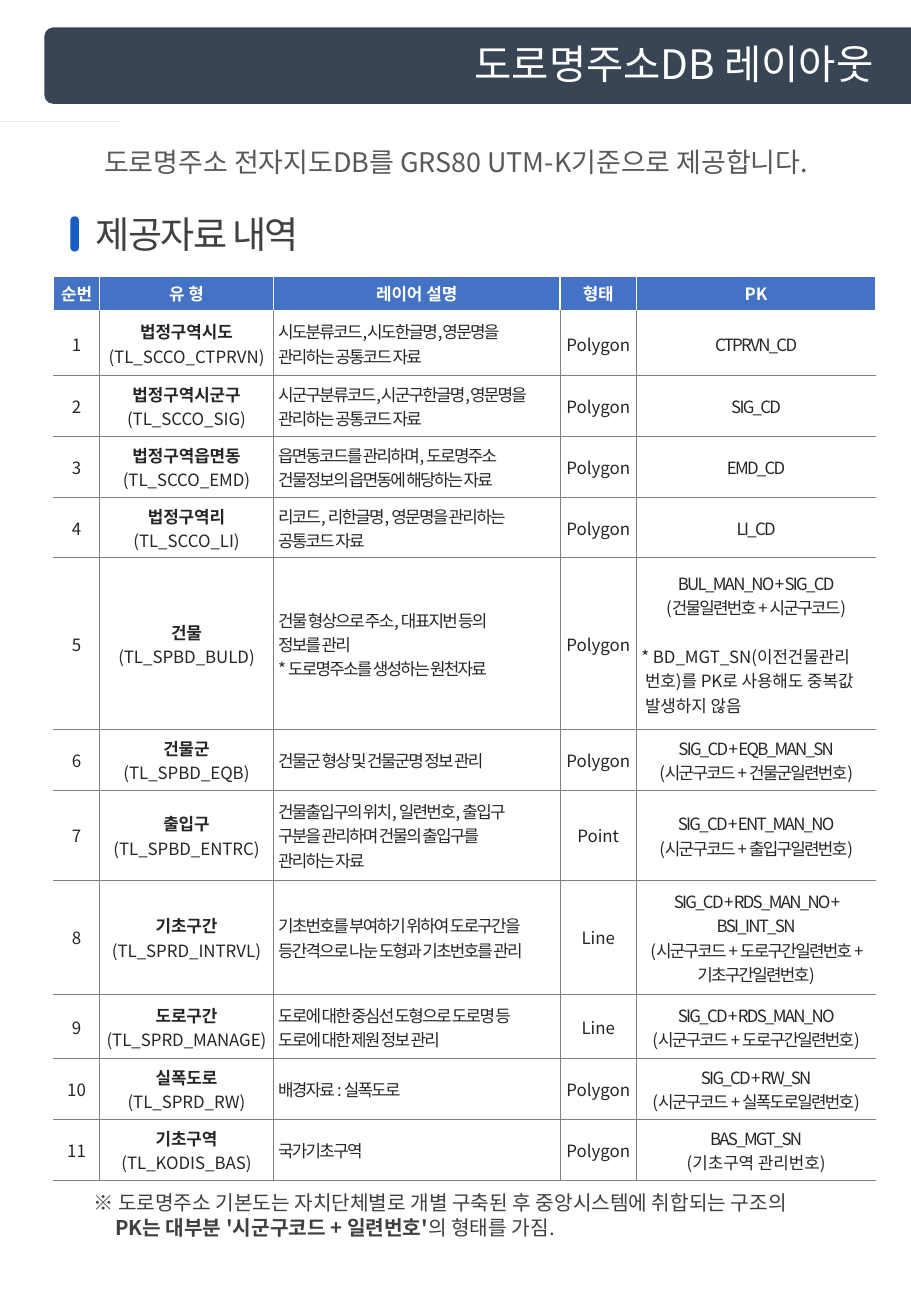
"""Build the road name address DB layout slide."""
from dataclasses import dataclass

from lxml import etree
from pptx import Presentation
from pptx.dml.color import RGBColor
from pptx.enum.shapes import MSO_SHAPE
from pptx.enum.text import MSO_ANCHOR, MSO_AUTO_SIZE, PP_ALIGN
from pptx.oxml.ns import qn
from pptx.util import Inches, Pt

LEFT, CENTER, RIGHT = PP_ALIGN.LEFT, PP_ALIGN.CENTER, PP_ALIGN.RIGHT
TOP, MIDDLE = MSO_ANCHOR.TOP, MSO_ANCHOR.MIDDLE
FIXED_SIZE = MSO_AUTO_SIZE.NONE
ROUNDED, ROUNDED_TOP = MSO_SHAPE.ROUNDED_RECTANGLE, MSO_SHAPE.ROUND_2_SAME_RECTANGLE


@dataclass(frozen=True)
class Theme:
    font: str = "Noto Sans CJK KR"
    white: str = "FFFFFF"
    banner: str = "333F50"
    accent: str = "175DC3"
    header: str = "4472C4"
    grid: str = "808080"
    ink: str = "262626"
    heading: str = "404040"
    lead: str = "595959"
    title_size: int = 24
    heading_size: int = 22
    lead_size: int = 16
    note_size: int = 12
    table_size: int = 10
    line_height: float = 14.5


THEME = Theme()
HEADERS = ["순번", "유 형", "레이어 설명", "형태", "PK"]
COLUMN_WIDTHS = [0.38, 1.43, 2.36, 0.63, 1.97]
ROW_HEIGHTS = [0.29, 0.53, 0.5, 0.5, 0.5, 1.4, 0.5, 0.74, 0.94, 0.53, 0.5, 0.5]
LAYERS = [
    ("법정구역시도", "TL_SCCO_CTPRVN", "시도분류코드,시도한글명,영문명을\n관리하는 공통코드 자료",
     "Polygon", "CTPRVN_CD"),
    ("법정구역시군구", "TL_SCCO_SIG", "시군구분류코드,시군구한글명,영문명을 관리하는 공통코드 자료",
     "Polygon", "SIG_CD"),
    ("법정구역읍면동", "TL_SCCO_EMD", "읍면동코드를 관리하며, 도로명주소\n건물정보의 읍면동에 해당하는 자료",
     "Polygon", "EMD_CD"),
    ("법정구역리", "TL_SCCO_LI", "리코드, 리한글명, 영문명을 관리하는\n공통코드 자료",
     "Polygon", "LI_CD"),
    ("건물", "TL_SPBD_BULD", "건물 형상으로 주소, 대표지번 등의\n정보를 관리\n* 도로명주소를 생성하는 원천자료",
     "Polygon", "BUL_MAN_NO + SIG_CD\n(건물일련번호 + 시군구코드)"
     "|* BD_MGT_SN(이전건물관리\n 번호)를 PK로 사용해도 중복값\n 발생하지 않음"),
    ("건물군", "TL_SPBD_EQB", "건물군 형상 및 건물군명 정보 관리",
     "Polygon", "SIG_CD + EQB_MAN_SN\n(시군구코드 + 건물군일련번호)"),
    ("출입구", "TL_SPBD_ENTRC", "건물출입구의 위치, 일련번호, 출입구\n구분을 관리하며 건물의 출입구를\n관리하는 자료",
     "Point", "SIG_CD + ENT_MAN_NO\n(시군구코드 + 출입구일련번호)"),
    ("기초구간", "TL_SPRD_INTRVL", "기초번호를 부여하기 위하여 도로구간을 등간격으로 나눈 도형과 기초번호를 관리",
     "Line", "SIG_CD + RDS_MAN_NO + BSI_INT_SN\n(시군구코드 + 도로구간일련번호 + 기초구간일련번호)"),
    ("도로구간", "TL_SPRD_MANAGE", "도로에 대한 중심선 도형으로 도로명 등\n도로에 대한 제원 정보 관리",
     "Line", "SIG_CD + RDS_MAN_NO\n(시군구코드 + 도로구간일련번호)"),
    ("실폭도로", "TL_SPRD_RW", "배경자료 : 실폭도로",
     "Polygon", "SIG_CD + RW_SN\n(시군구코드 + 실폭도로일련번호)"),
    ("기초구역", "TL_KODIS_BAS", "국가기초구역",
     "Polygon", "BAS_MGT_SN|(기초구역 관리번호)"),
]
MONITOR = [(0.74, 1.23), (0.63, 1.23), (0.63, 1.25), (0.72, 1.25), (0.72, 1.39),
           (0.47, 1.39), (0.47, 1.25), (0.55, 1.25), (0.55, 1.23), (0.44, 1.23),
           (0.44, 1.42), (0.56, 1.42), (0.54, 1.47), (0.53, 1.47), (0.53, 1.48),
           (0.66, 1.48), (0.66, 1.47), (0.64, 1.47), (0.63, 1.42), (0.74, 1.42)]
ARROW = [(0.54, 1.28), (0.55, 1.29), (0.59, 1.33), (0.6, 1.33), (0.64, 1.29),
         (0.65, 1.28), (0.63, 1.27), (0.6, 1.3), (0.6, 1.21), (0.59, 1.2),
         (0.58, 1.21), (0.58, 1.3), (0.56, 1.28), (0.55, 1.27)]


def write(frame, text, size=THEME.table_size, color=THEME.ink, bold=False, spacing=0,
          align=LEFT, gap=0, margin=0, join=False):
    """Write each line of text as a paragraph, or join it to the last one."""
    for line in text.split("\n"):
        paragraph = frame.paragraphs[-1]
        if paragraph.runs and not join:
            paragraph = frame.add_paragraph()
        if not join:
            paragraph.alignment = align
            if gap:
                paragraph.space_before, gap = Pt(gap), 0
            if margin:
                properties = paragraph._p.get_or_add_pPr()
                properties.set("marL", str(Inches(margin)))
                properties.set("indent", "0")
        run = paragraph.add_run()
        run.text = line
        font = run.font
        font.name, font.size, font.bold = THEME.font, Pt(size), bold
        font.color.rgb = RGBColor.from_string(color)
        properties = run._r.get_or_add_rPr()
        etree.SubElement(properties, qn("a:ea"), typeface=THEME.font)
        if spacing:
            properties.set("spc", str(spacing * 100))


class Page:
    """Hold the theme and the current slide."""

    def __init__(self, slide, theme):
        self.slide, self.theme = slide, theme

    def paint(self, shape, color, alpha=None):
        shape.shadow.inherit = False
        shape.fill.solid()
        shape.fill.fore_color.rgb = RGBColor.from_string(color)
        shape.line.fill.background()
        if alpha:
            fill_color = shape.element.spPr.find(".//" + qn("a:srgbClr"))
            etree.SubElement(fill_color, qn("a:alpha"), val=str(alpha * 1000))

    def shape(self, kind, box, color, adjustments, rotation=0, alpha=None):
        shape = self.slide.shapes.add_shape(kind, *map(Inches, box))
        shape.rotation = rotation
        for index, value in enumerate(adjustments):
            shape.adjustments[index] = value
        self.paint(shape, color, alpha)

    def outline(self, contours, color):
        builder = self.slide.shapes.build_freeform(*contours[0][0], scale=Inches(1))
        builder.add_line_segments(contours[0][1:])
        for contour in contours[1:]:
            builder.move_to(*contour[0])
            builder.add_line_segments(contour[1:])
        self.paint(builder.convert_to_shape(), color)

    def title(self, box, text):
        title = self.slide.shapes.title
        title.left, title.top, title.width, title.height = map(Inches, box)
        frame = title.text_frame
        frame.auto_size, frame.vertical_anchor = FIXED_SIZE, TOP
        write(frame, text, size=self.theme.title_size, color=self.theme.white, align=RIGHT)
        self.slide.shapes.element.append(title.element)

    def text_box(self, box, anchor=TOP, inset=True):
        frame = self.slide.shapes.add_textbox(*map(Inches, box)).text_frame
        frame.word_wrap, frame.vertical_anchor = True, anchor
        if not inset:
            frame.margin_left = frame.margin_top = frame.margin_right = frame.margin_bottom = 0
        return frame

    def border(self, cell, edges):
        properties = cell._tc.get_or_add_tcPr()
        for index, (side, (color, width)) in enumerate(zip("LRTB", edges)):
            line = etree.Element(qn(f"a:ln{side}"), w=str(Pt(width)))
            fill = etree.SubElement(line, qn("a:solidFill"))
            etree.SubElement(fill, qn("a:srgbClr"), val=color)
            properties.insert(index, line)

    def cell(self, cell, edges, insets, fill=None):
        cell.vertical_anchor = MIDDLE
        cell.margin_left, cell.margin_top, cell.margin_right, cell.margin_bottom = map(Inches, insets)
        if fill:
            cell.fill.solid()
            cell.fill.fore_color.rgb = RGBColor.from_string(fill)
        else:
            cell.fill.background()
        self.border(cell, edges)
        return cell.text_frame

    def table(self, left, top):
        table = self.slide.shapes.add_table(
            len(ROW_HEIGHTS), len(COLUMN_WIDTHS), Inches(left), Inches(top),
            Inches(sum(COLUMN_WIDTHS)), Inches(sum(ROW_HEIGHTS))).table
        table.first_row = table.horz_banding = False
        for column, width in zip(table.columns, COLUMN_WIDTHS):
            column.width = Inches(width)
        for row, height in zip(table.rows, ROW_HEIGHTS):
            row.height = Inches(height)
        white, gray = (self.theme.white, 1), (self.theme.grid, 0.5)
        for column, text in enumerate(HEADERS):
            frame = self.cell(table.cell(0, column), [white] * 4, [0.02] * 4, self.theme.header)
            write(frame, text, color=self.theme.white, bold=True, align=CENTER)
        last = len(HEADERS) - 1
        for row, (name, code, description, geometry, key) in enumerate(LAYERS, 1):
            frames = []
            for column in range(len(HEADERS)):
                side = 0.04 if column in (2, last) else 0.01
                edges = [white if column == 0 else gray, white if column == last else gray,
                         white if row == 1 else gray, gray]
                frames.append(self.cell(table.cell(row, column), edges, (side, 0.01, side, 0)))
            write(frames[0], str(row), align=CENTER)
            write(frames[1], name, bold=True, align=CENTER)
            write(frames[1], f"({code})", align=CENTER)
            write(frames[2], description, spacing=-1)
            write(frames[3], geometry, align=CENTER)
            tight, _, loose = key.partition("|")
            write(frames[4], tight, spacing=-1, align=CENTER)
            if loose:
                remark = loose.startswith("*")
                write(frames[4], loose, align=LEFT if remark else CENTER,
                      gap=self.theme.line_height if remark else 0)


def main():
    presentation = Presentation()
    presentation.slide_width, presentation.slide_height = Inches(7.5), Inches(10.83)
    page = Page(presentation.slides.add_slide(presentation.slide_layouts[5]), THEME)
    page.table(0.44, 2.27)
    note = page.text_box((0.62, 9.75, 6.59, 0.51))
    note_style = {"size": THEME.note_size, "color": THEME.heading}
    write(note, "※ 도로명주소 기본도는 자치단체별로 개별 구축된 후 중앙시스템에 취합되는 구조의",
          margin=0.05, **note_style)
    write(note, "PK는 대부분 '시군구코드 + 일련번호'", bold=True, margin=0.23, **note_style)
    write(note, "의 형태를 가짐.", join=True, **note_style)
    write(page.text_box((0.76, 1.15, 6.45, 0.37)),
          "도로명주소 전자지도DB를 GRS80 UTM-K기준으로 제공합니다.",
          size=THEME.lead_size, color=THEME.lead)
    write(page.text_box((0.79, 1.74, 5.06, 0.37), MIDDLE, inset=False), "제공자료 내역",
          size=THEME.heading_size, color=THEME.heading, spacing=-1)
    page.shape(ROUNDED, (0.58, 1.78, 0.07, 0.29), THEME.accent, [0.48])
    page.outline([MONITOR, ARROW], THEME.lead)
    page.shape(ROUNDED_TOP, (3.62, -3.03, 0.63, 7.14), THEME.banner, [0.12, 0],
               rotation=270, alpha=97)
    page.title((1.93, 0.27, 5.36, 0.51), "도로명주소DB 레이아웃")
    presentation.save("out.pptx")


if __name__ == "__main__":
    main()
